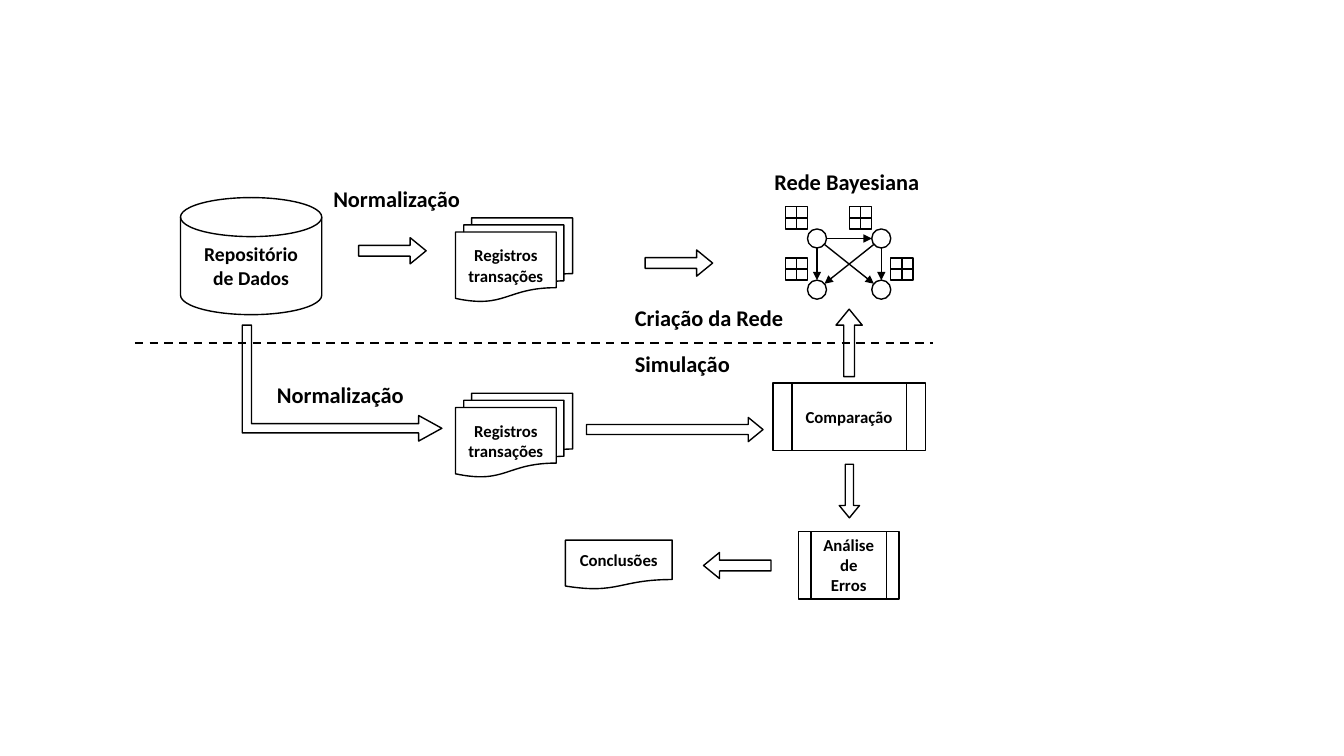
import math
from lxml import etree
from pptx import Presentation
from pptx import util as u
from pptx.dml.color import RGBColor
from pptx.enum import dml, shapes, text
from pptx.oxml.ns import qn

THEME = {
    "font": "Calibri", "ink": RGBColor(0, 0, 0),
    "heading": 16, "store": 14, "step": 12,
    "line": 1, "divider": 1.5,
}
KINDS = shapes.MSO_SHAPE
LEFT, CENTER = text.PP_ALIGN.LEFT, text.PP_ALIGN.CENTER

# Content; all lengths in centimetres
HEADINGS = [  # wording, left, top, width, alignment
    ("Normalização", 8.15, 4.55, 3.73, LEFT),
    ("Rede Bayesiana", 19.23, 4.11, 4.22, CENTER),
    ("Criação da Rede", 15.75, 7.54, 4.29, LEFT),
    ("Simulação", 15.75, 8.71, 2.95, LEFT),
    ("Normalização", 6.73, 9.47, 3.73, LEFT),
]
HEADING_HEIGHT = 0.94
STEPS = [  # wording, kind, box, type size
    ("Repositório\vde Dados", KINDS.FLOWCHART_MAGNETIC_DISK, (4.55, 4.98, 3.56, 2.95), "store"),
    ("Registros transações", KINDS.FLOWCHART_MULTIDOCUMENT, (11.48, 5.49, 2.95, 2.11), "step"),
    ("Registros transações", KINDS.FLOWCHART_MULTIDOCUMENT, (11.48, 9.91, 2.95, 2.11), "step"),
    ("Comparação", KINDS.FLOWCHART_PREDEFINED_PROCESS, (19.48, 9.65, 3.84, 1.7), "step"),
    ("Análise de Erros", KINDS.FLOWCHART_PREDEFINED_PROCESS, (20.12, 13.39, 2.54, 1.7), "step"),
    ("Conclusões", KINDS.FLOWCHART_DOCUMENT, (14.25, 13.61, 2.69, 1.24), "step"),
]
ARROWS = [  # box before turning, rotation
    ((9.04, 5.99, 1.7, 0.66), 0),
    ((16.26, 6.3, 1.7, 0.66), 0),
    ((14.78, 10.52, 4.45, 0.61), 0),
    ((20.55, 8.31, 1.7, 0.66), 270),
    ((20.73, 12.12, 1.35, 0.51), 90),
    ((17.73, 13.92, 1.7, 0.66), 180),
]
ARROW_SHAPE = (0.41, 0.61)
BENT_ARROW = (7.16, 7.14, 2.92, 5.03)
BENT_SHAPE = (0.08, 0.11, 0.2)
DIVIDER = ((3.4, 8.64), (23.5, 8.64))

# Bayesian network: node centres, side of each table, links
NODE, CELL = 0.48, 0.28
NODES = {"A": (20.59, 6.01), "B": (22.21, 6.01), "C": (20.59, 7.3), "D": (22.21, 7.3)}
TABLE_SIDES = {"A": "left", "B": "left", "C": "left", "D": "right"}
LINKS = ["AB", "AD", "AC", "BC", "BD"]

presentation = Presentation()
presentation.slide_width, presentation.slide_height = u.Cm(33.87), u.Cm(19.05)
slide = presentation.slides.add_slide(presentation.slide_layouts[6])


def assign(target, values):
    for name, value in values.items():
        setattr(target, name, value)


def write(shape, wording, size, frame_format, alignment):
    assign(shape.text_frame, frame_format)
    paragraph = shape.text_frame.paragraphs[0]
    paragraph.text = wording
    paragraph.alignment = alignment
    for run in paragraph.runs:
        assign(run.font, {"name": THEME["font"], "size": u.Pt(THEME[size]), "bold": True})
        run.font.color.rgb = THEME["ink"]


def add_outline(kind, box, rotation=0, adjustments=()):
    shape = slide.shapes.add_shape(kind, *map(u.Cm, box))
    shape.shadow.inherit = False
    shape.fill.background()
    shape.line.color.rgb = THEME["ink"]
    shape.line.width = u.Pt(THEME["line"])
    shape.rotation = rotation
    for index, value in enumerate(adjustments):
        shape.adjustments[index] = value
    return shape


def add_line(start, end, width):
    line = slide.shapes.add_connector(
        shapes.MSO_CONNECTOR.STRAIGHT, *map(u.Cm, (*start, *end)))
    line.line.color.rgb = THEME["ink"]
    line.line.width = u.Pt(THEME[width])
    etree.SubElement(line._element.spPr, qn("a:effectLst"))
    return line


# Headings
for wording, left, top, width, alignment in HEADINGS:
    box = slide.shapes.add_textbox(*map(u.Cm, (left, top, width, HEADING_HEIGHT)))
    write(box, wording, "heading",
          {"word_wrap": False, "auto_size": text.MSO_AUTO_SIZE.SHAPE_TO_FIT_TEXT}, alignment)

# Process steps
for wording, kind, box, size in STEPS:
    write(add_outline(kind, box), wording, size,
          {"word_wrap": True, "vertical_anchor": text.MSO_ANCHOR.MIDDLE}, CENTER)

# Block arrows
for box, rotation in ARROWS:
    add_outline(KINDS.RIGHT_ARROW, box, rotation, ARROW_SHAPE)
add_outline(KINDS.BENT_UP_ARROW, BENT_ARROW, 90, BENT_SHAPE)

# Network nodes, each with a two by two table at its upper corner
for name, (x, y) in NODES.items():
    radius = NODE / 2
    add_outline(KINDS.OVAL, (x - radius, y - radius, NODE, NODE))
    table_left = x + radius if TABLE_SIDES[name] == "right" else x - radius - 2 * CELL
    table_top = y - radius - 2 * CELL
    for row in range(2):
        for column in range(2):
            add_outline(KINDS.RECTANGLE, (table_left + column * CELL,
                                          table_top + row * CELL, CELL, CELL))

# Network links run from rim to rim
for source, target in LINKS:
    (x1, y1), (x2, y2) = NODES[source], NODES[target]
    share = NODE / 2 / math.dist((x1, y1), (x2, y2))
    dx, dy = (x2 - x1) * share, (y2 - y1) * share
    link = add_line((x1 + dx, y1 + dy), (x2 - dx, y2 - dy), "line")
    etree.SubElement(link.line._get_or_add_ln(), qn("a:tailEnd"), type="triangle")

# Divider between building and simulation
add_line(*DIVIDER, "divider").line.dash_style = dml.MSO_LINE.DASH

presentation.save("out.pptx")
